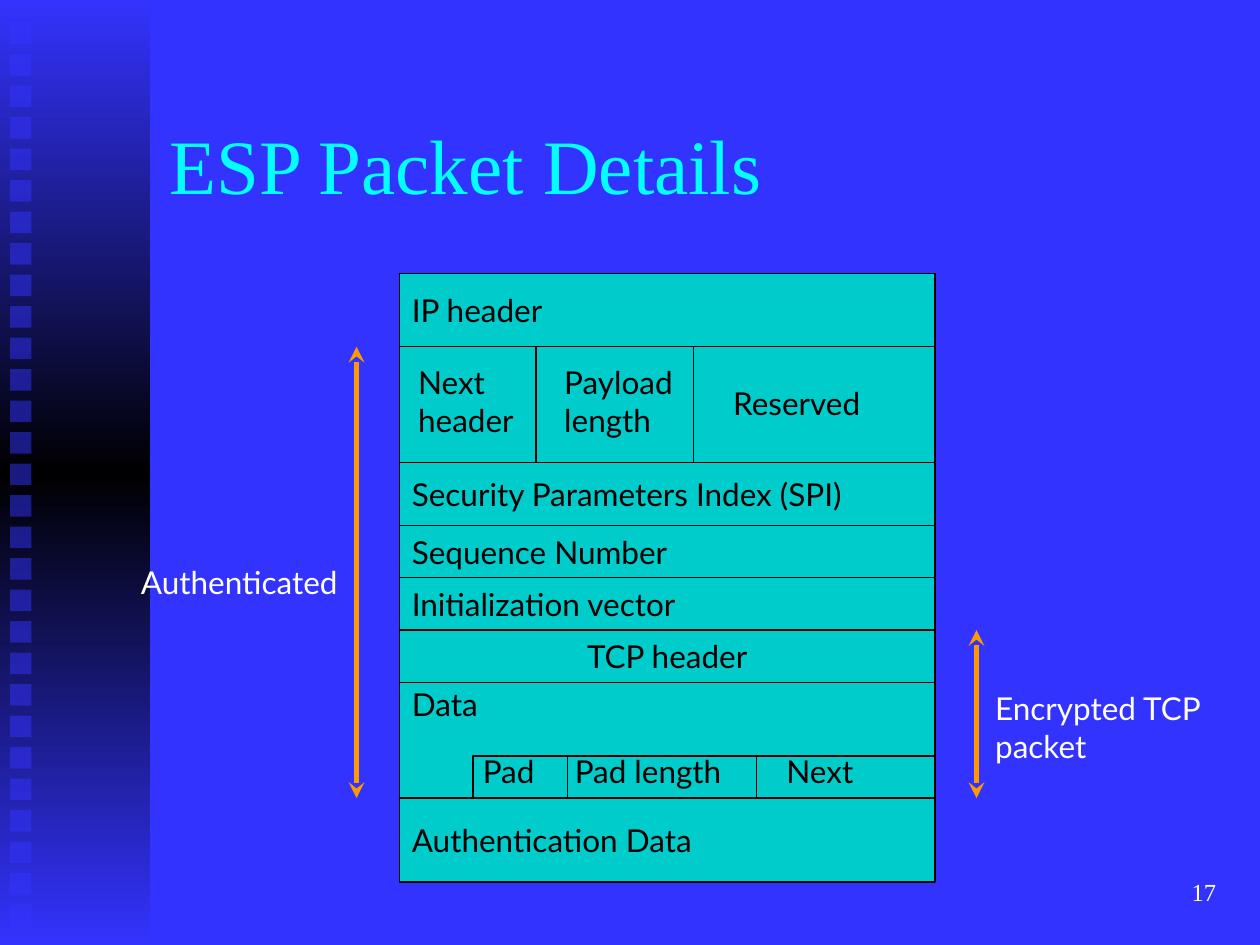
from copy import deepcopy
from dataclasses import dataclass
from itertools import accumulate

from pptx import Presentation
from pptx import util as u
from pptx.dml.color import RGBColor
from pptx.enum import shapes, text
from pptx.oxml import ns
from lxml import etree


@dataclass(frozen=True)
class Theme:
    """Colours, fonts and sizes of the slide."""
    ground: str = "3333FF"
    shade: str = "000000"
    title: str = "00FFFF"
    field: str = "00CCCC"
    ink: str = "000000"
    light: str = "FFFFFF"
    arrow: str = "FF9900"
    serif: str = "Times New Roman"
    sans: str = "Lato"
    title_size: int = 44
    body_size: int = 18
    number_size: int = 14
    rule: float = 0.75
    arrow_width: int = 3


THEME = Theme()
UNIT = 1 / 12


def rgb(colour):
    """Turn a hex string into a colour."""
    return RGBColor.from_string(colour)


def write(frame, words, size=THEME.body_size, font=THEME.sans, colour=THEME.ink,
          align=text.PP_ALIGN.LEFT, anchor=text.MSO_ANCHOR.TOP, top=0.05):
    """Fill a text frame, one paragraph for each line of words."""
    frame.word_wrap = True
    frame.vertical_anchor = anchor
    frame.margin_left = frame.margin_right = u.Inches(0.1)
    frame.margin_top, frame.margin_bottom = u.Inches(top), u.Inches(0.05)
    for index, line in enumerate(words.split("\n")):
        paragraph = frame.add_paragraph() if index else frame.paragraphs[0]
        paragraph.alignment = align
        run = paragraph.add_run()
        run.text = line
        run.font.size, run.font.name = u.Pt(size), font
        run.font.color.rgb = rgb(colour)


def add_label(slide, box, words, **style):
    """Add a text box with formatted words."""
    label = slide.shapes.add_textbox(*map(u.Inches, box))
    write(label.text_frame, words, **style)


def add_block(slide, box, fill, outline=None):
    """Add a flat rectangle."""
    block = slide.shapes.add_shape(shapes.MSO_SHAPE.RECTANGLE, *map(u.Inches, box))
    block.shadow.inherit = False
    block.fill.solid()
    block.fill.fore_color.rgb = rgb(fill)
    if outline:
        block.line.color.rgb = rgb(outline)
        block.line.width = u.Pt(THEME.rule)
    else:
        block.line.fill.background()
    return block


def add_rule(slide, start, end, colour=THEME.ink, width=THEME.rule, arrows=False):
    """Add a straight line, with an arrowhead at each end if asked."""
    rule = slide.shapes.add_connector(
        shapes.MSO_CONNECTOR.STRAIGHT, *map(u.Inches, (*start, *end)))
    rule.line.color.rgb = rgb(colour)
    rule.line.width = u.Pt(width)
    if arrows:
        for tag in ("a:headEnd", "a:tailEnd"):
            etree.SubElement(rule.line._get_or_add_ln(), ns.qn(tag), type="stealth")
    etree.SubElement(rule._element.spPr, ns.qn("a:effectLst"))


def add_sidebar(slide, box):
    """Draw the shaded band with its column of translucent squares."""
    left, top, _, _ = box
    band = add_block(slide, box, THEME.ground)
    band.fill.gradient()
    band.fill.gradient_angle = 90
    for stop in band.fill.gradient_stops:
        stop.color.rgb = rgb(THEME.ground)
    stops = band._element.spPr.find(".//" + ns.qn("a:gsLst"))
    stops.insert(1, deepcopy(stops[0]))
    middle = band.fill.gradient_stops[1]
    middle.position = 0.5
    middle.color.rgb = rgb(THEME.shade)
    for index in range(29):
        square = add_block(
            slide, (left + 0.08, top + 0.18 + index * 0.25, 0.17, 0.17), THEME.ground)
        colour = square._element.spPr.find(".//" + ns.qn("a:srgbClr"))
        etree.SubElement(colour, ns.qn("a:alpha"), val="50000")


def add_header_fields(slide, box):
    """Divide a row into the next header, length and reserved fields."""
    left, top, _, height = box
    for units in (13, 28):
        x = left + units * UNIT
        add_rule(slide, (x, top), (x, top + height))
    for offset, drop, width, words in (
            (0.05, 0.08, 1.1, "Next\nheader"),
            (1.21, 0.08, 1.2, "Payload\nlength"),
            (2.55, 0.25, 1.4, "Reserved")):
        add_label(slide, (left + offset, top + drop, width, 0.7), words)


def add_trailer_fields(slide, box):
    """Outline the padding fields at the foot of the data row."""
    left, top, width, height = box
    outline = slide.shapes.build_freeform(
        u.Inches(left), u.Inches(top + height), scale=1.0)
    outline.add_line_segments(
        [(u.Inches(left), u.Inches(top)), (u.Inches(left + width), u.Inches(top))],
        close=False)
    border = outline.convert_to_shape()
    border.shadow.inherit = False
    border.fill.background()
    border.line.color.rgb = rgb(THEME.ink)
    border.line.width = u.Pt(THEME.rule)
    for units in (9, 27):
        x = left + units * UNIT
        add_rule(slide, (x, top + height), (x, top))
    for offset, field_width, words in (
            (-0.02, 0.75, "Pad"), (0.71, 1.55, "Pad length"), (2.39, 0.9, "Next")):
        add_label(slide, (left + offset, top - 0.08, field_width, 0.4), words)


def add_packet(slide, box):
    """Stack the packet rows in the box and return the row edges."""
    left, top, width, height = box
    middle, upper = text.MSO_ANCHOR.MIDDLE, text.MSO_ANCHOR.TOP
    start, centre = text.PP_ALIGN.LEFT, text.PP_ALIGN.CENTER
    rows = (
        (7, "IP header", start, middle),
        (11, "", start, middle),
        (6, "Security Parameters Index (SPI)", start, middle),
        (5, "Sequence Number", start, middle),
        (5, "Initialization vector", start, middle),
        (5, "TCP header", centre, middle),
        (11, "Data", start, upper),
        (8, "Authentication Data", start, middle),
    )
    scale = height / sum(row[0] for row in rows)
    edges = [top + units * scale
             for units in accumulate((row[0] for row in rows), initial=0)]
    for y, (units, words, align, anchor) in zip(edges, rows):
        row = add_block(slide, (left, y, width, units * scale), THEME.field, THEME.ink)
        if words:
            write(row.text_frame, words, align=align, anchor=anchor,
                  top=0.02 if anchor == upper else 0.05)
    add_header_fields(slide, (left, edges[1], width, edges[2] - edges[1]))
    inset, tray = 7 * UNIT, 4 * UNIT
    add_trailer_fields(slide, (left + inset, edges[7] - tray, width - inset, tray))
    return edges


def add_span(slide, box, arrow_x, words, label_box):
    """Mark a range of rows with a double arrow and a label."""
    top, bottom = box
    add_rule(slide, (arrow_x, top), (arrow_x, bottom), THEME.arrow,
             THEME.arrow_width, arrows=True)
    add_label(slide, label_box, words, colour=THEME.light)


def main():
    """Build the slide and save it."""
    deck = Presentation()
    deck.slide_width, deck.slide_height = u.Inches(10), u.Inches(7.5)
    slide = deck.slides.add_slide(deck.slide_layouts[6])
    slide.background.fill.solid()
    slide.background.fill.fore_color.rgb = rgb(THEME.ground)
    add_sidebar(slide, (0, 0, 1.19, 7.5))
    add_label(slide, (1.25, 0.67, 8.5, 1.25), "ESP Packet Details",
              size=THEME.title_size, font=THEME.serif, colour=THEME.title,
              anchor=text.MSO_ANCHOR.MIDDLE)
    edges = add_packet(slide, (3.17, 2.17, 4.25, 4.83))
    add_span(slide, (edges[1], edges[7]), 2.83, "Authenticated", (1.02, 4.42, 1.85, 0.4))
    add_span(slide, (edges[5], edges[7]), 7.75, "Encrypted TCP\npacket",
             (7.8, 5.42, 1.96, 0.7))
    add_label(slide, (7.67, 6.83, 2.08, 0.5), "17", size=THEME.number_size,
              font=THEME.serif, colour=THEME.light, align=text.PP_ALIGN.RIGHT,
              anchor=text.MSO_ANCHOR.MIDDLE)
    deck.save("out.pptx")


if __name__ == "__main__":
    main()
